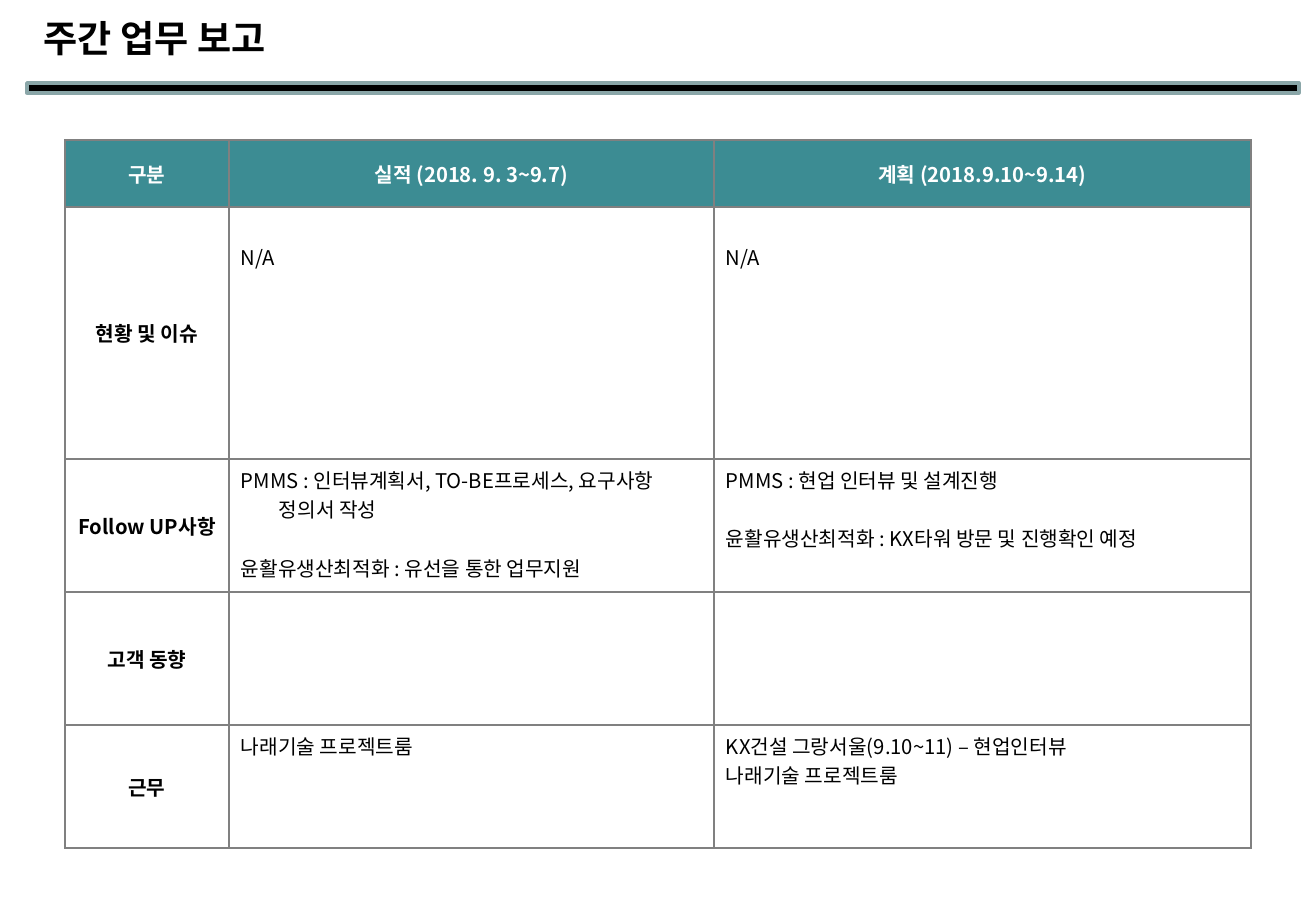
from lxml import etree
from pptx import Presentation
from pptx.dml.color import RGBColor
from pptx.enum.shapes import MSO_SHAPE
from pptx.enum.text import MSO_ANCHOR, PP_ALIGN
from pptx.oxml.ns import qn
from pptx.util import Pt

RECT = MSO_SHAPE.RECTANGLE
TOP, MIDDLE = MSO_ANCHOR.TOP, MSO_ANCHOR.MIDDLE
LEFT, CENTER = PP_ALIGN.LEFT, PP_ALIGN.CENTER
SCALE = 914400 / 121.5
COLORS = {"ink": "000000", "paper": "FFFFFF", "teal": "3C8C93",
          "edge": "8AA6A8", "grid": "808080"}
LINE = 29  # height of one body line in px

COLS = [164, 485, 537]
ROWS = [67, 252, 133, 133, 123]
HEADS = ["구분", "실적 (2018. 9. 3~9.7)", "계획 (2018.9.10~9.14)"]
# Each body row: label, then (paragraphs, indent, extra top, paragraph gap) per cell
BODY = [
    ("현황 및 이슈", (["N/A"], 38, LINE, 0), (["N/A"], 24, LINE, 0)),
    ("Follow UP사항",
     (["PMMS : 인터뷰계획서, TO-BE프로세스, 요구사항 정의서 작성",
       "윤활유생산최적화 : 유선을 통한 업무지원"], 38, 0, LINE),
     (["PMMS : 현업 인터뷰 및 설계진행",
       "윤활유생산최적화 : KX타워 방문 및 진행확인 예정"], 38, 0, LINE)),
    ("고객 동향", ([], 0, 0, 0), ([], 0, 0, 0)),
    ("근무", (["나래기술 프로젝트룸"], 38, 0, 0),
     (["KX건설 그랑서울(9.10~11) – 현업인터뷰", "나래기술 프로젝트룸"], 24, 0, 0)),
]


def px(n):
    return round(n * SCALE)


def rgb(name):
    return RGBColor.from_string(COLORS[name])


class Deck:
    font = "Noto Sans CJK KR"

    def __init__(self, width, height):
        self.prs = Presentation()
        self.prs.slide_width, self.prs.slide_height = px(width), px(height)
        self.slide = self.prs.slides.add_slide(self.prs.slide_layouts[6])

    def fill_text(self, frame, lines, size=12, color="ink", bold=False,
                  align=LEFT, indent=0, gap=0):
        """Fill a text frame; indent is hanging, gap separates paragraphs."""
        for i, line in enumerate(lines):
            para = frame.paragraphs[0] if i == 0 else frame.add_paragraph()
            para.alignment = align
            para.space_before = px(gap if i else 0)
            props = para._p.get_or_add_pPr()
            props.set("marL", str(px(indent)))
            props.set("indent", str(-px(indent)))
            run = para.add_run()
            run.text = line
            font = run.font
            font.size, font.bold, font.name = Pt(size), bold, self.font
            font.color.rgb = rgb(color)
            etree.SubElement(run._r.get_or_add_rPr(), qn("a:ea"), typeface=self.font)

    def text(self, x, y, w, h, line, **style):
        frame = self.slide.shapes.add_textbox(px(x), px(y), px(w), px(h)).text_frame
        frame.word_wrap = True
        frame.vertical_anchor = MIDDLE
        frame.margin_left = frame.margin_right = 0
        frame.margin_top = frame.margin_bottom = 0
        self.fill_text(frame, [line], **style)

    def bar(self, x, y, w, h, fill, line, width):
        shape = self.slide.shapes.add_shape(RECT, px(x), px(y), px(w), px(h))
        shape.shadow.inherit = False
        shape.fill.solid()
        shape.fill.fore_color.rgb = rgb(fill)
        shape.line.color.rgb = rgb(line)
        shape.line.width = Pt(width)

    def table(self, x, y, cols, rows):
        table = self.slide.shapes.add_table(
            len(rows), len(cols), px(x), px(y), px(sum(cols)), px(sum(rows))).table
        table.first_row = table.horz_banding = False
        for col, width in zip(table.columns, cols):
            col.width = px(width)
        for row, height in zip(table.rows, rows):
            row.height = px(height)
        return table

    def cell(self, cell, lines, fill="paper", anchor=TOP, extra=0, **style):
        props = cell._tc.get_or_add_tcPr()
        for side in ("lnL", "lnR", "lnT", "lnB"):
            edge = etree.SubElement(props, qn("a:" + side), w=str(Pt(1)))
            paint = etree.SubElement(edge, qn("a:solidFill"))
            etree.SubElement(paint, qn("a:srgbClr"), val=COLORS["grid"])
        cell.fill.solid()
        cell.fill.fore_color.rgb = rgb(fill)
        cell.vertical_anchor = anchor
        cell.margin_left = cell.margin_right = px(12)
        cell.margin_top, cell.margin_bottom = px(6 + extra), px(6)
        self.fill_text(cell.text_frame, lines, **style)


def main():
    deck = Deck(1316, 911)
    deck.bar(27, 83, 1272, 10, "ink", "edge", 2)
    grid = deck.table(65, 140, COLS, ROWS)
    for c, head in enumerate(HEADS):
        deck.cell(grid.cell(0, c), [head], fill="teal", anchor=MIDDLE,
                  color="paper", bold=True, align=CENTER)
    for r, (label, *cells) in enumerate(BODY, 1):
        deck.cell(grid.cell(r, 0), [label], anchor=MIDDLE, bold=True,
                  align=CENTER, indent=40)
        for c, (lines, indent, extra, gap) in enumerate(cells, 1):
            deck.cell(grid.cell(r, c), lines, extra=extra, indent=indent, gap=gap)
    deck.text(44, 15, 950, 45, "주간 업무 보고", size=22, bold=True)
    deck.prs.save("out.pptx")


if __name__ == "__main__":
    main()
